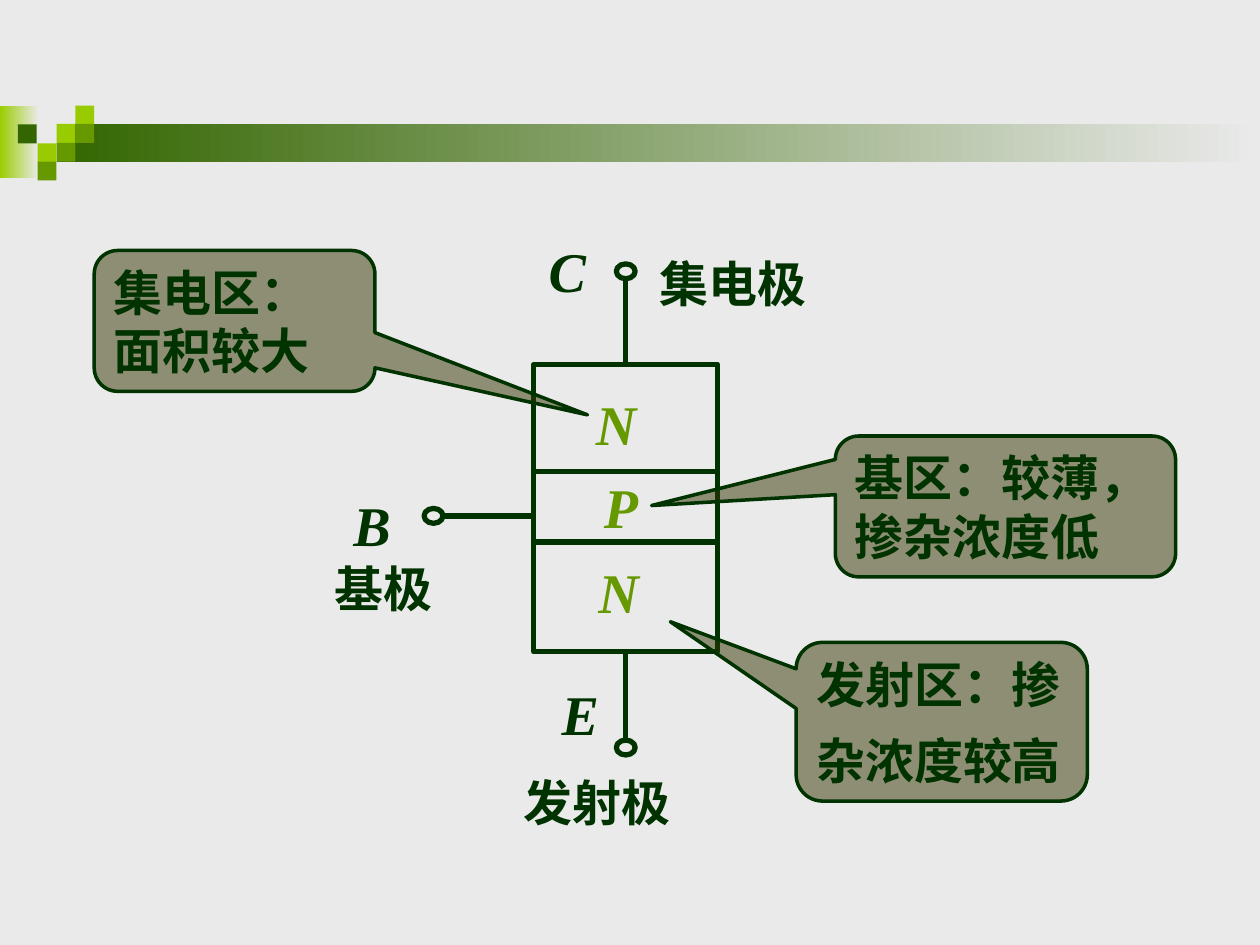
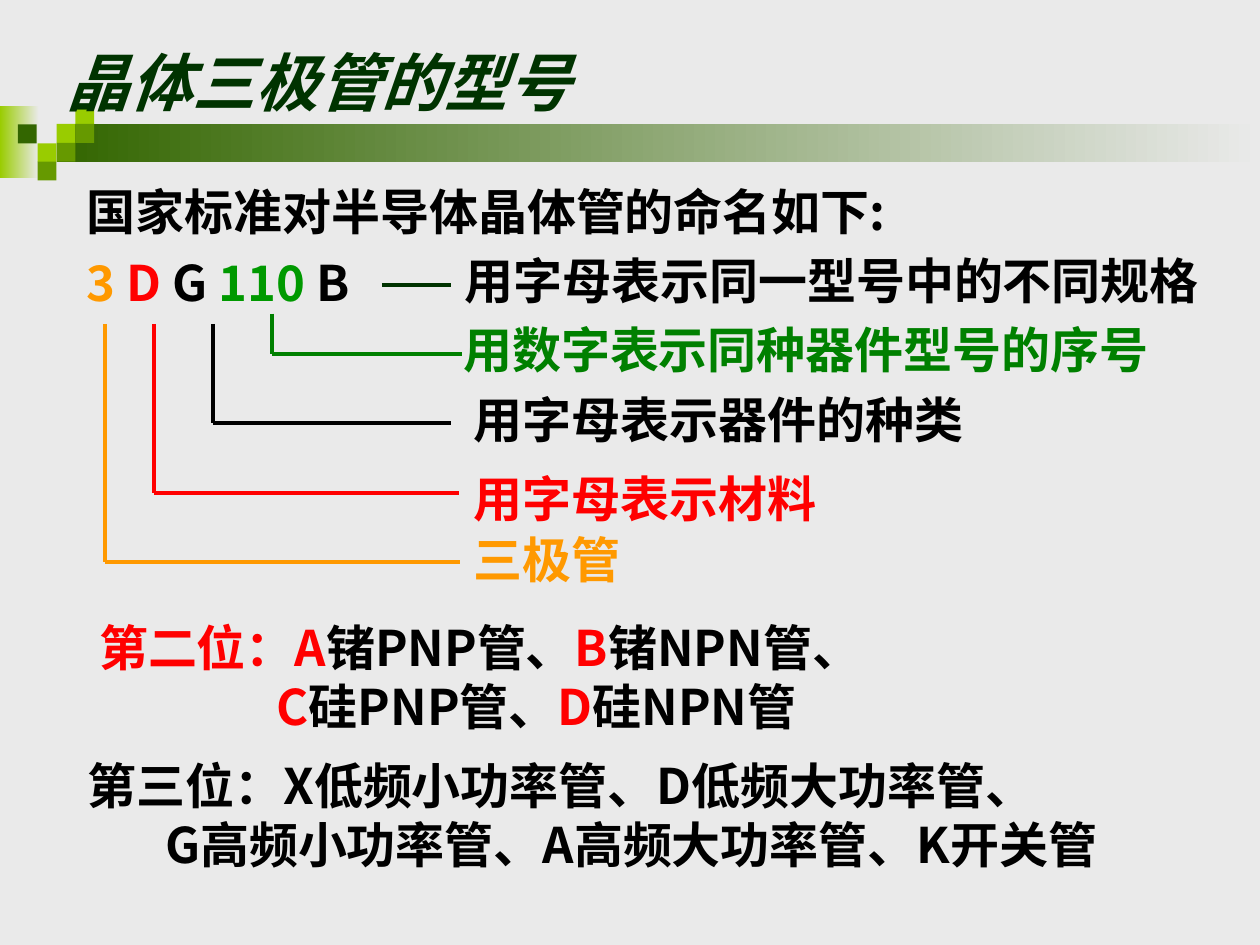
from lxml import etree
from pptx import Presentation
from pptx.dml.color import RGBColor
from pptx.enum.shapes import MSO_CONNECTOR, MSO_SHAPE
from pptx.enum.text import MSO_ANCHOR, PP_ALIGN
from pptx.oxml.ns import qn
from pptx.util import Cm, Pt

BACKGROUND = RGBColor(0xEA, 0xEA, 0xEA)
DARK = RGBColor(0x00, 0x33, 0x00)
FOREST = RGBColor(0x33, 0x66, 0x00)
LEAF = RGBColor(0x66, 0x99, 0x00)
LIME = RGBColor(0x99, 0xCC, 0x00)
OLIVE = RGBColor(0x33, 0x33, 0x00)
BLACK = RGBColor(0x00, 0x00, 0x00)
RED = RGBColor(0xFF, 0x00, 0x00)
ORANGE = RGBColor(0xFF, 0x99, 0x00)
GREEN = RGBColor(0x00, 0x80, 0x00)
BRIGHT_GREEN = RGBColor(0x00, 0x99, 0x00)
SERIF, SANS = "Times New Roman", "Noto Sans CJK SC"

# Shared band: left, top, width, height in cm, then colour
GRADIENT_BARS = [(0, 2.13, 0.79, 1.47, LIME), (1.14, 2.5, 24.26, 0.76, FOREST)]
SQUARE = 0.38
SQUARES = [(1.14, 2.5, LIME), (1.52, 2.13, LIME), (1.52, 2.5, LEAF), (0.76, 2.89, LIME),
           (0.36, 2.51, FOREST), (1.14, 2.88, LEAF), (0.76, 3.26, LEAF)]

# Transistor diagram
REGION_LEFT, REGION_TOP, REGION_WIDTH = 10.76, 7.35, 3.71
REGION_HEIGHTS = [2.16, 1.42, 2.21]
TERMINAL_WIDTH, TERMINAL_HEIGHT = 0.38, 0.3
COLLECTOR_Y, EMITTER_Y = 5.47, 15.07
BASE_X, BASE_Y = 8.74, 10.4
# Text, centre x, centre y, colour
LETTERS = [("C", 11.44, 5.44, DARK), ("B", 7.5, 10.57, DARK), ("E", 11.7, 14.38, DARK),
           ("N", 12.42, 8.53, LEAF), ("P", 12.52, 10.21, LEAF), ("N", 12.47, 11.91, LEAF)]
ELECTRODES = [("集电极", 14.78, 5.7), ("基极", 7.74, 11.85), ("发射极", 12.04, 16.17)]
# Paragraphs, box, pointer, wrap
CALLOUTS = [
    (["基区：较薄，掺杂浓度低"], (16.84, 8.79, 6.86, 2.84), (-1.04, -0.006), True),
    (["集电区：面积较大"], (1.9, 5.05, 5.66, 2.84), (1.257, 0.667), True),
    (["发射区：掺", "杂浓度较高"], (16.05, 12.95, 5.87, 3.2), (-0.932, -0.63), False),
]

# Model number
TITLE = "晶体三极管的型号"
NAMING = [
    [("国家标准对半导体晶体管的命名如下:", BLACK)],
    [("3 ", ORANGE), ("D", RED), (" G ", BLACK), ("110", BRIGHT_GREEN), (" B", BLACK)],
]
# Colour, x of the drop, its top, its bottom, end of the horizontal
BRACKETS = [(ORANGE, 2.11, 6.53, 11.33, 9.27), (RED, 3.1, 6.53, 9.93, 9.25),
            (BLACK, 4.29, 6.53, 8.53, 9.09), (GREEN, 5.49, 6.32, 7.14, 9.32)]
SPEC_DASH = (7.7, 5.74, 9.09, 5.74)
# Text, colour, left, top, width
MEANINGS = [
    ("用字母表示同一型号中的不同规格", BLACK, 9.12, 4.93, 15.6),
    ("用数字表示同种器件型号的序号", GREEN, 9.09, 6.32, 15.19),
    ("用字母表示器件的种类", BLACK, 9.3, 7.72, 13.18),
    ("用字母表示材料", RED, 9.3, 9.32, 8.89),
    ("三极管", ORANGE, 9.3, 10.54, 4.65),
]
SECOND_PLACE = [
    [("第二位：A", RED), ("锗PNP管、", BLACK), ("B", RED), ("锗NPN管、", BLACK)],
    [("C", RED), ("硅PNP管、", BLACK), ("D", RED), ("硅NPN管", BLACK)],
]
THIRD_PLACE = [
    [("第三位：X低频小功率管、D低频大功率管、", BLACK)],
    [("G高频小功率管、A高频大功率管、K开关管", BLACK)],
]


def box(*lengths):
    return [Cm(length) for length in lengths]


def set_font(paragraph, size, color, name, italic=False):
    font = paragraph.font
    font.size, font.name, font.bold, font.italic = Pt(size), name, True, italic
    font.color.rgb = color
    properties = paragraph._p.pPr.find(qn("a:defRPr"))
    etree.SubElement(properties, qn("a:ea")).set("typeface", SANS)


def fill_text(frame, paragraphs, size=28, name=SANS, italic=False, align=PP_ALIGN.LEFT,
              anchor=MSO_ANCHOR.TOP, wrap=True):
    """Each paragraph is a list of (text, colour) runs."""
    frame.word_wrap, frame.vertical_anchor = wrap, anchor
    for index, runs in enumerate(paragraphs):
        paragraph = frame.add_paragraph() if index else frame.paragraphs[0]
        paragraph.alignment = align
        set_font(paragraph, size, runs[0][1], name, italic)
        for text, color in runs:
            run = paragraph.add_run()
            run.text = text
            if len(runs) > 1:
                run.font.color.rgb = color
    return frame.paragraphs


def add_text(slide, bounds, paragraphs, **style):
    return fill_text(slide.shapes.add_textbox(*box(*bounds)).text_frame, paragraphs, **style)


def add_label(slide, text, x, y, color, size, italic=False):
    # One centimetre per character plus the side insets
    width, height = len(text) + 0.6, 1.6
    add_text(slide, (x - width / 2, y - height / 2, width, height), [[(text, color)]],
             size=size, name=SERIF, italic=italic, align=PP_ALIGN.CENTER,
             anchor=MSO_ANCHOR.MIDDLE, wrap=False)


def add_shape(slide, kind, bounds, fill=None, outline=None, width=3):
    shape = slide.shapes.add_shape(kind, *box(*bounds))
    shape.shadow.inherit = False
    if fill is None:
        shape.fill.background()
    else:
        shape.fill.solid()
        shape.fill.fore_color.rgb = fill
    if outline is None:
        shape.line.fill.background()
    else:
        shape.line.color.rgb = outline
        shape.line.width = Pt(width)
    return shape


def add_line(slide, ends, color, width):
    line = slide.shapes.add_connector(MSO_CONNECTOR.STRAIGHT, *box(*ends))
    line.line.color.rgb = color
    line.line.width = Pt(width)
    etree.SubElement(line._element.spPr, qn("a:effectLst"))
    return line


def add_base_slide(presentation):
    slide = presentation.slides.add_slide(presentation.slide_layouts[6])
    slide.background.fill.solid()
    slide.background.fill.fore_color.rgb = BACKGROUND
    for *bounds, color in GRADIENT_BARS:
        fill = add_shape(slide, MSO_SHAPE.RECTANGLE, bounds).fill
        fill.gradient()
        fill.gradient_angle = 0
        for stop, stop_color in zip(fill.gradient_stops, (color, BACKGROUND)):
            stop.color.rgb = stop_color
    for left, top, color in SQUARES:
        add_shape(slide, MSO_SHAPE.RECTANGLE, (left, top, SQUARE, SQUARE), color)
    return slide


def add_terminal(slide, x, y):
    bounds = (x - TERMINAL_WIDTH / 2, y - TERMINAL_HEIGHT / 2, TERMINAL_WIDTH, TERMINAL_HEIGHT)
    add_shape(slide, MSO_SHAPE.OVAL, bounds, outline=DARK)


def add_callout(slide, texts, bounds, pointer, wrap):
    callout = add_shape(slide, MSO_SHAPE.ROUNDED_RECTANGULAR_CALLOUT, bounds, OLIVE, DARK, 2)
    callout.adjustments[0], callout.adjustments[1] = pointer
    color = callout._element.spPr.find(qn("a:solidFill"))[0]
    etree.SubElement(color, qn("a:alpha")).set("val", "50000")
    paragraphs = fill_text(callout.text_frame, [[(text, DARK)] for text in texts],
                           name=SERIF, anchor=MSO_ANCHOR.MIDDLE, wrap=wrap)
    for paragraph in paragraphs[1:]:
        paragraph.line_spacing = 0.75
        paragraph.space_before = Pt(17.5)


def build_structure(presentation):
    slide = add_base_slide(presentation)
    # Stacked regions
    regions, top = [], REGION_TOP
    for height in REGION_HEIGHTS:
        bounds = (REGION_LEFT, top, REGION_WIDTH, height)
        regions.append(add_shape(slide, MSO_SHAPE.RECTANGLE, bounds, outline=DARK))
        top += height
    # Leads and terminals
    middle = REGION_LEFT + REGION_WIDTH / 2
    collector_end = COLLECTOR_Y + TERMINAL_HEIGHT / 2
    emitter_end = EMITTER_Y - TERMINAL_HEIGHT / 2
    collector = add_line(slide, (middle, REGION_TOP, middle, collector_end), DARK, 3)
    collector.begin_connect(regions[0], 0)
    emitter = add_line(slide, (middle, top, middle, emitter_end), DARK, 3)
    emitter.begin_connect(regions[-1], 2)
    add_line(slide, (REGION_LEFT, BASE_Y, BASE_X + TERMINAL_WIDTH / 2, BASE_Y), DARK, 3)
    for x, y in [(middle, COLLECTOR_Y), (BASE_X, BASE_Y), (middle, EMITTER_Y)]:
        add_terminal(slide, x, y)
    # Labels and callouts
    for text, x, y, color in LETTERS:
        add_label(slide, text, x, y, color, 32, italic=True)
    for text, x, y in ELECTRODES:
        add_label(slide, text, x, y, DARK, 28)
    for callout in CALLOUTS:
        add_callout(slide, *callout)


def build_model_number(presentation):
    slide = add_base_slide(presentation)
    add_text(slide, (1.09, 0.53, 22.66, 2.21), [[(TITLE, DARK)]], size=36, name=SERIF,
             italic=True, anchor=MSO_ANCHOR.MIDDLE)
    naming = add_text(slide, (1.5, 3.53, 21.79, 3), NAMING)
    naming[1].space_before = Pt(7)
    # Brackets from each character to its meaning
    for color, x, top, bottom, end in BRACKETS:
        add_line(slide, (x, top, x, bottom), color, 2.25)
        add_line(slide, (x, bottom, end, bottom), color, 2.25)
    add_line(slide, SPEC_DASH, DARK, 2.25)
    for text, color, left, top, width in MEANINGS:
        add_text(slide, (left, top, width, 1.45), [[(text, color)]])
    # Letter codes, second lines indented
    for lines, left, top, indent in [(SECOND_PLACE, 1.75, 12.32, 3.58),
                                     (THIRD_PLACE, 1.52, 15.11, 1.56)]:
        paragraphs = add_text(slide, (left, top, 25.4 - left, 2.64), lines)
        paragraphs[1]._p.pPr.set("marL", str(Cm(indent)))


def main():
    presentation = Presentation()
    presentation.slide_width, presentation.slide_height = Cm(25.4), Cm(19.05)
    build_structure(presentation)
    build_model_number(presentation)
    presentation.save("out.pptx")


if __name__ == "__main__":
    main()
